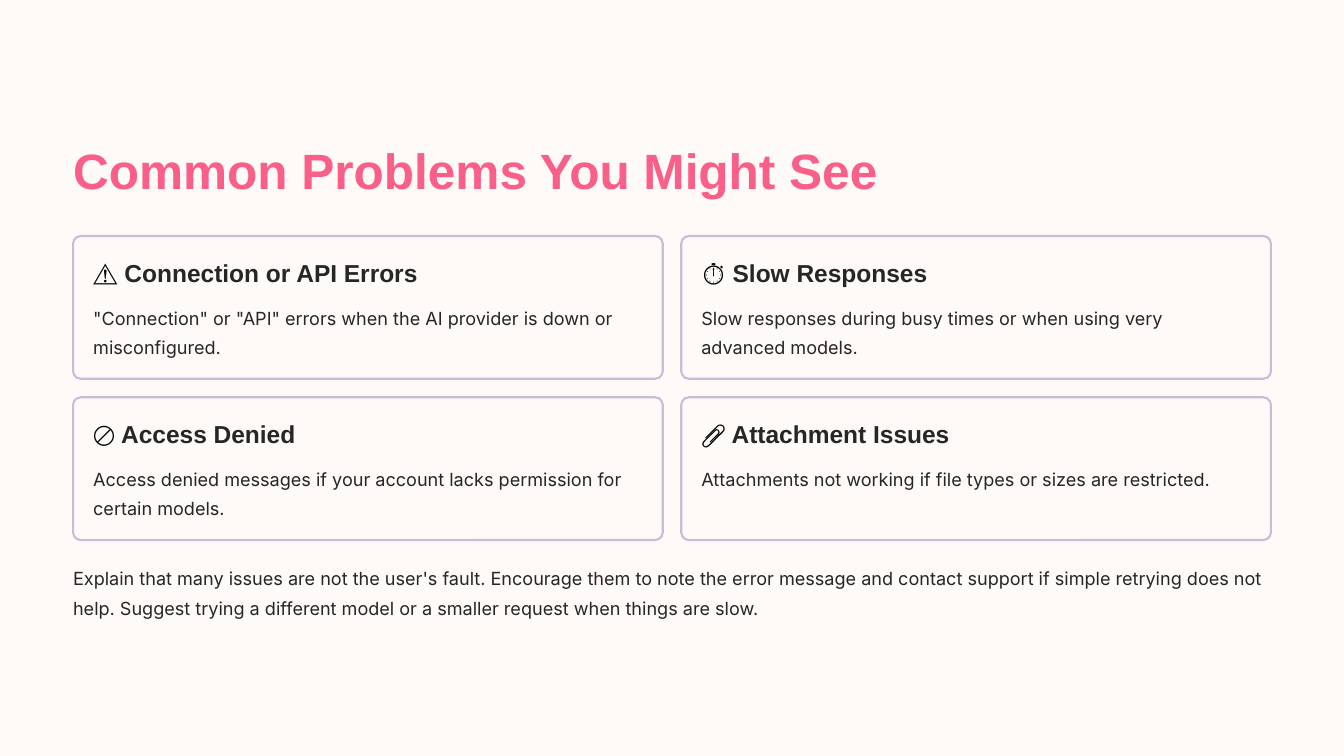
from pptx import Presentation
from pptx.dml.color import RGBColor
from pptx.enum.shapes import MSO_SHAPE
from pptx.enum.text import MSO_ANCHOR, MSO_AUTO_SIZE, PP_ALIGN
from pptx.util import Inches, Pt

CREAM = RGBColor(0xFD, 0xFA, 0xF7)
PINK = RGBColor(0xF9, 0x5F, 0x88)
LAVENDER = RGBColor(0xC6, 0xBD, 0xDA)
CHARCOAL = RGBColor(0x27, 0x25, 0x25)
BLACK = RGBColor(0x00, 0x00, 0x00)

LEFT, TOP = 0.87, 2.81
CARD_WIDTH, CARD_HEIGHT = 7.02, 1.7
GAP = 0.22
PADDING = 0.24
CONTENT_WIDTH = 2 * CARD_WIDTH + GAP

presentation = Presentation()
presentation.slide_width = Inches(16)
presentation.slide_height = Inches(9)
slide = presentation.slides.add_slide(presentation.slide_layouts[5])
slide.background.fill.solid()
slide.background.fill.fore_color.rgb = CREAM


def write_text(text, left, top, width, height, shape=None, icon="", size=15.5,
               font="Inter", color=CHARCOAL, bold=False, spacing=25):
    """Write one paragraph, with an optional black icon before it."""
    position = [Inches(value) for value in (left, top, width, height)]
    if shape is None:
        shape = slide.shapes.add_textbox(*position)
    shape.left, shape.top, shape.width, shape.height = position
    frame = shape.text_frame
    frame.margin_left = frame.margin_right = 0
    frame.margin_top = frame.margin_bottom = 0
    frame.word_wrap = True
    frame.auto_size = MSO_AUTO_SIZE.NONE
    frame.vertical_anchor = MSO_ANCHOR.TOP
    paragraph = frame.paragraphs[0]
    paragraph.alignment = PP_ALIGN.LEFT
    paragraph.line_spacing = Pt(spacing)
    for content, run_color in ((icon, BLACK), (text, color)):
        if content:
            run = paragraph.add_run()
            run.text = content
            run.font.name = font
            run.font.size = Pt(size)
            run.font.bold = bold
            run.font.color.rgb = run_color


# Title, as wide as the card grid so that it stays on one line
write_text("Common Problems You Might See", LEFT, 1.63, CONTENT_WIDTH, 0.75,
           shape=slide.shapes.title, size=42.5, font="Arial", color=PINK,
           bold=True, spacing=53.5)

# Two by two grid of problem cards
problems = [
    ("⚠️", "Connection or API Errors",
     '"Connection" or "API" errors when the AI provider is down or misconfigured.'),
    ("⏱️", "Slow Responses",
     "Slow responses during busy times or when using very advanced models."),
    ("🚫", "Access Denied",
     "Access denied messages if your account lacks permission for certain models."),
    ("📎", "Attachment Issues",
     "Attachments not working if file types or sizes are restricted."),
]
for index, (icon, heading, description) in enumerate(problems):
    row, column = divmod(index, 2)
    left = LEFT + column * (CARD_WIDTH + GAP)
    top = TOP + row * (CARD_HEIGHT + GAP)
    card = slide.shapes.add_shape(
        MSO_SHAPE.ROUNDED_RECTANGLE, Inches(left), Inches(top),
        Inches(CARD_WIDTH), Inches(CARD_HEIGHT))
    card.adjustments[0] = 0.054
    card.shadow.inherit = False
    card.fill.solid()
    card.fill.fore_color.rgb = CREAM
    card.line.color.rgb = LAVENDER
    card.line.width = Pt(1.8)

    text_left = left + PADDING
    text_width = CARD_WIDTH - 2 * PADDING
    write_text(" " + heading, text_left, top + PADDING, text_width, 0.39,
               icon=icon, size=21, font="Arial", bold=True, spacing=26.5)
    write_text(description, text_left, top + 0.76, text_width, 0.69)

# Closing advice
write_text("Explain that many issues are not the user's fault. Encourage them to "
           "note the error message and contact support if simple retrying does not "
           "help. Suggest trying a different model or a smaller request when things "
           "are slow.", LEFT, 6.67, CONTENT_WIDTH, 0.69)

presentation.save("out.pptx")
